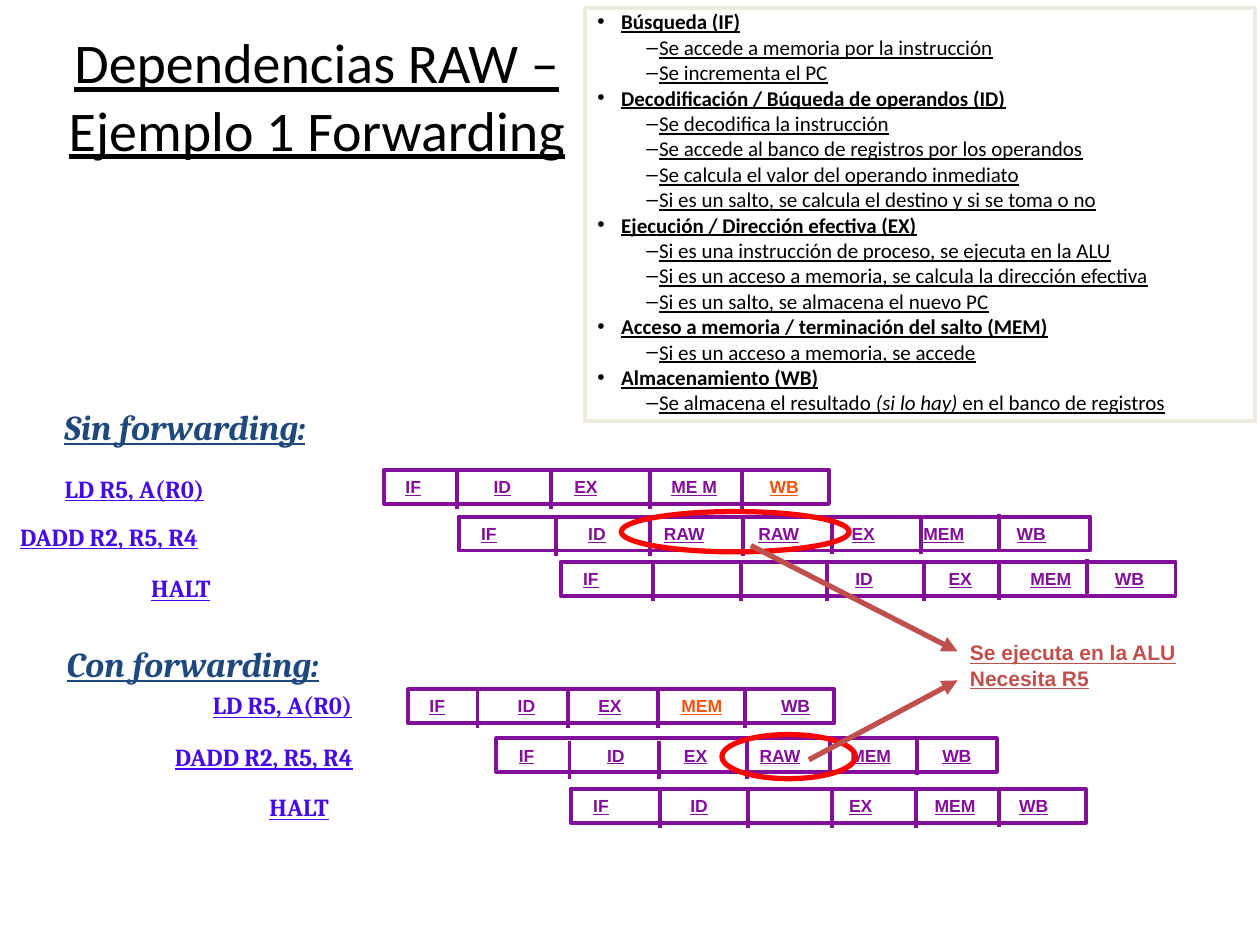
from dataclasses import dataclass
from lxml.etree import SubElement
from pptx import Presentation
from pptx.dml.color import RGBColor
from pptx.enum.shapes import MSO_CONNECTOR, MSO_SHAPE
from pptx.enum.text import MSO_ANCHOR, MSO_AUTO_SIZE, PP_ALIGN
from pptx.oxml.ns import qn
from pptx.util import Inches, Pt


@dataclass(frozen=True)
class Theme:
    black: str = "000000"
    white: str = "FFFFFF"
    border: str = "EEECE1"
    stage: str = "830E9A"
    forwarded: str = "F75309"
    hazard: str = "F70701"
    note: str = "C0504D"
    code: str = "4509EF"
    heading: str = "1F497D"
    title_size: int = 32
    heading_size: int = 20
    code_size: int = 14
    body_size: int = 12
    stage_size: int = 10


def font(name, size, color, **extra):
    return {"name": name, "size": Pt(size), "color": color, "underline": True, **extra}


class PipelineSlide:
    def __init__(self, slide, theme):
        self.slide = slide
        self.theme = theme
        self.title_font = font("Calibri", theme.title_size, theme.black)
        self.body_font = font("Calibri", theme.body_size, theme.black)
        self.heading_font = font("Cambria", theme.heading_size, theme.heading, bold=True, italic=True)
        self.code_font = font("Cambria", theme.code_size, theme.code, bold=True)
        self.stage_font = font("Arial", theme.stage_size, theme.stage, bold=True)
        self.note_font = font("Arial", theme.body_size, theme.note, bold=True)

    def place(self, shape, left, top, width, height):
        values = {"left": left, "top": top, "width": width, "height": height}
        for name, value in values.items():
            setattr(shape, name, Inches(value))

    def span(self, para, text, style):
        span = para.add_run()
        span.text = text
        for name, value in style.items():
            if name == "color":
                span.font.color.rgb = RGBColor.from_string(value)
            else:
                setattr(span.font, name, value)

    def outline(self, line, color, width):
        line.color.rgb = RGBColor.from_string(color)
        line.width = Pt(width)

    def title(self, text, area):
        box = self.slide.shapes.title
        self.place(box, *area)
        frame = box.text_frame
        frame.auto_size = MSO_AUTO_SIZE.NONE
        frame.vertical_anchor = MSO_ANCHOR.MIDDLE
        para = frame.paragraphs[0]
        para.alignment = PP_ALIGN.CENTER
        self.span(para, text, self.title_font)

    def body(self, groups, area):
        box = self.slide.placeholders[1]
        self.place(box, *area)
        box.fill.solid()
        box.fill.fore_color.rgb = RGBColor.from_string(self.theme.white)
        self.outline(box.line, self.theme.border, 2.25)
        frame = box.text_frame
        frame.auto_size = MSO_AUTO_SIZE.NONE
        para = frame.paragraphs[0]
        for index, (heading, details) in enumerate(groups):
            if index:
                para = frame.add_paragraph()
            self.bullet(para, 0, [heading])
            for detail in details:
                self.bullet(frame.add_paragraph(), 1, detail.split("|"))

    def bullet(self, para, level, parts):
        values = {"level": level, "line_spacing": 0.8, "space_before": Pt(3)}
        for name, value in values.items():
            setattr(para, name, value)
        margin, indent = ((0.19, -0.19), (0.49, -0.1))[level]
        properties = para._p.get_or_add_pPr()
        properties.set("marL", str(Inches(margin)))
        properties.set("indent", str(Inches(indent)))
        for index, part in enumerate(parts):
            self.span(para, part, {**self.body_font, "bold": level == 0, "italic": index % 2 == 1})

    def text(self, lines, area, style, align=PP_ALIGN.LEFT, wrap=False):
        frame = self.slide.shapes.add_textbox(*map(Inches, area)).text_frame
        frame.word_wrap = wrap
        for index, line in enumerate(lines):
            para = frame.add_paragraph() if index else frame.paragraphs[0]
            para.alignment = align
            self.span(para, line, style)

    def shape(self, kind, area, color, width):
        shape = self.slide.shapes.add_shape(kind, *map(Inches, area))
        shape.shadow.inherit = False
        shape.fill.background()
        self.outline(shape.line, color, width)
        return shape

    def line(self, start, end, color, width, arrow=False):
        line = self.slide.shapes.add_connector(MSO_CONNECTOR.STRAIGHT, *map(Inches, start + end))
        self.outline(line.line, color, width)
        if arrow:
            SubElement(line.line._get_or_add_ln(), qn("a:tailEnd"), type="triangle")
        SubElement(line._element.spPr, qn("a:effectLst"))

    def pipeline(self, left, top, width, stages, dividers, forwarded=None):
        bar = self.shape(MSO_SHAPE.RECTANGLE, (left, top, width, 0.27), self.theme.stage, 2.25)
        frame = bar.text_frame
        frame.vertical_anchor = MSO_ANCHOR.TOP
        para = frame.paragraphs[0]
        para.alignment = PP_ALIGN.LEFT
        tabs = SubElement(para._p.get_or_add_pPr(), qn("a:tabLst"))
        for name, x in stages:
            SubElement(tabs, qn("a:tab"), pos=str(Inches(x - left - 0.1)), algn="l")
            color = self.theme.forwarded if name == forwarded else self.theme.stage
            self.span(para, "\t", self.stage_font)
            self.span(para, name, {**self.stage_font, "color": color})
        for x, y in dividers:
            self.line((x, y), (x, y + 0.3), self.theme.stage, 2.25)

    def hazard(self, area):
        self.shape(MSO_SHAPE.OVAL, area, self.theme.hazard, 3)


PHASES = [
    ("Búsqueda (IF)", ["Se accede a memoria por la instrucción", "Se incrementa el PC"]),
    ("Decodificación / Búqueda de operandos (ID)", [
        "Se decodifica la instrucción",
        "Se accede al banco de registros por los operandos",
        "Se calcula el valor del operando inmediato",
        "Si es un salto, se calcula el destino y si se toma o no"]),
    ("Ejecución / Dirección efectiva (EX)", [
        "Si es una instrucción de proceso, se ejecuta en la ALU",
        "Si es un acceso a memoria, se calcula la dirección efectiva",
        "Si es un salto, se almacena el nuevo PC"]),
    ("Acceso a memoria / terminación del salto (MEM)", ["Si es un acceso a memoria, se accede"]),
    ("Almacenamiento (WB)", ["Se almacena el resultado |(si lo hay)| en el banco de registros"]),
]

PIPELINES = [
    (3.05, 3.73, 3.53,
     [("IF", 3.22), ("ID", 3.92), ("EX", 4.56), ("ME M", 5.33), ("WB", 6.11)],
     [(x, 3.74) for x in (3.63, 4.37, 5.16, 5.89)], "WB"),
    (3.64, 4.1, 5.01,
     [("IF", 3.82), ("ID", 4.67), ("RAW", 5.27), ("RAW", 6.02), ("EX", 6.76), ("MEM", 7.33), ("WB", 8.07)],
     [(4.41, 4.11), (5.16, 4.11), (5.9, 4.11), (6.6, 4.1), (7.31, 4.1), (7.93, 4.08)]),
    (4.45, 4.46, 4.88,
     [("IF", 4.63), ("ID", 6.79), ("EX", 7.53), ("MEM", 8.18), ("WB", 8.85)],
     [(5.18, 4.47), (5.88, 4.47), (6.56, 4.47), (7.33, 4.47), (7.93, 4.46), (8.63, 4.44)]),
    (3.24, 5.47, 3.38,
     [("IF", 3.41), ("ID", 4.11), ("EX", 4.75), ("MEM", 5.41), ("WB", 6.2)],
     [(x, 5.48) for x in (3.79, 4.51, 5.22, 5.91)], "MEM"),
    (3.94, 5.86, 3.97,
     [("IF", 4.12), ("ID", 4.82), ("EX", 5.43), ("RAW", 6.03), ("MEM", 6.75), ("WB", 7.48)],
     [(4.52, 5.88), (5.23, 5.88), (5.93, 5.88), (6.59, 5.86), (7.28, 5.85)]),
    (4.53, 6.26, 4.09,
     [("IF", 4.71), ("ID", 5.48), ("EX", 6.74), ("MEM", 7.42), ("WB", 8.09)],
     [(5.24, 6.27), (5.94, 6.27), (6.6, 6.27), (7.27, 6.27), (7.93, 6.26)]),
]

INSTRUCTIONS = [("LD R5, A(R0)", 1.31), ("DADD R2, R5, R4", 1.61), ("HALT", 0.69)]
SECTIONS = [
    ("Sin forwarding:", (0.41, 3.17, 2.12, 0.44), PP_ALIGN.RIGHT, [(0.41, 3.71), (0.06, 4.09), (1.08, 4.5)]),
    ("Con forwarding:", (0.43, 5.05, 2.21, 0.44), PP_ALIGN.LEFT, [(1.59, 5.43), (1.29, 5.84), (2.04, 6.24)]),
]


def main():
    deck = Presentation()
    deck.slide_width, deck.slide_height = Inches(10), Inches(7.5)
    theme = Theme()
    page = PipelineSlide(deck.slides.add_slide(deck.slide_layouts[1]), theme)
    page.title("Dependencias RAW – Ejemplo 1 Forwarding", (0.39, 0.36, 4.25, 0.79))
    page.body(PHASES, (4.64, 0.06, 5.32, 3.28))
    for heading, area, align, corners in SECTIONS:
        page.text([heading], area, page.heading_font)
        for (code, width), corner in zip(INSTRUCTIONS, corners):
            page.text([code], (*corner, width, 0.34), page.code_font, align)
    for pipeline in PIPELINES:
        page.pipeline(*pipeline)
    page.hazard((4.93, 4.06, 1.81, 0.32))
    page.hazard((5.73, 5.83, 1.06, 0.35))
    page.line((5.96, 4.33), (7.6, 5.17), theme.note, 3, arrow=True)
    page.line((6.42, 6.03), (7.6, 5.4), theme.note, 3, arrow=True)
    page.text(["Se ejecuta en la ALU", "Necesita R5"], (7.6, 5.03, 1.84, 0.5), page.note_font, wrap=True)
    deck.save("out.pptx")


if __name__ == "__main__":
    main()
